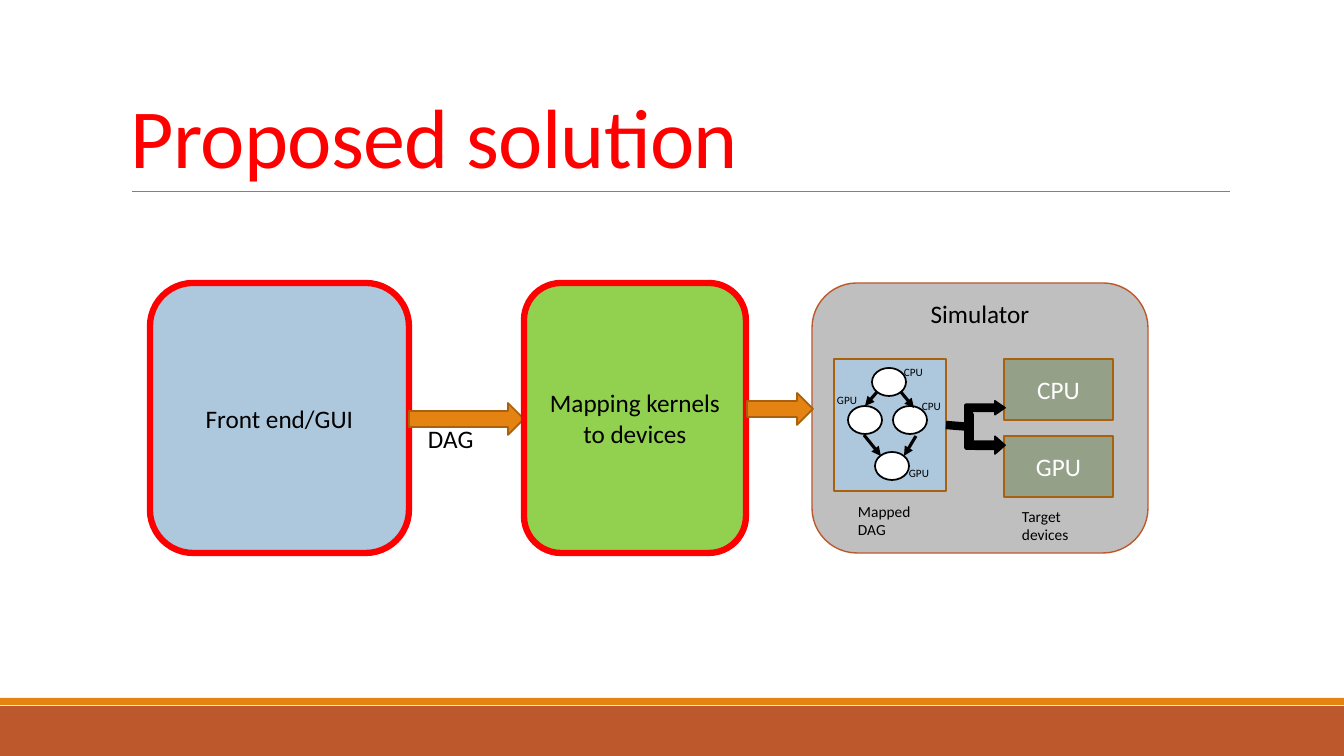
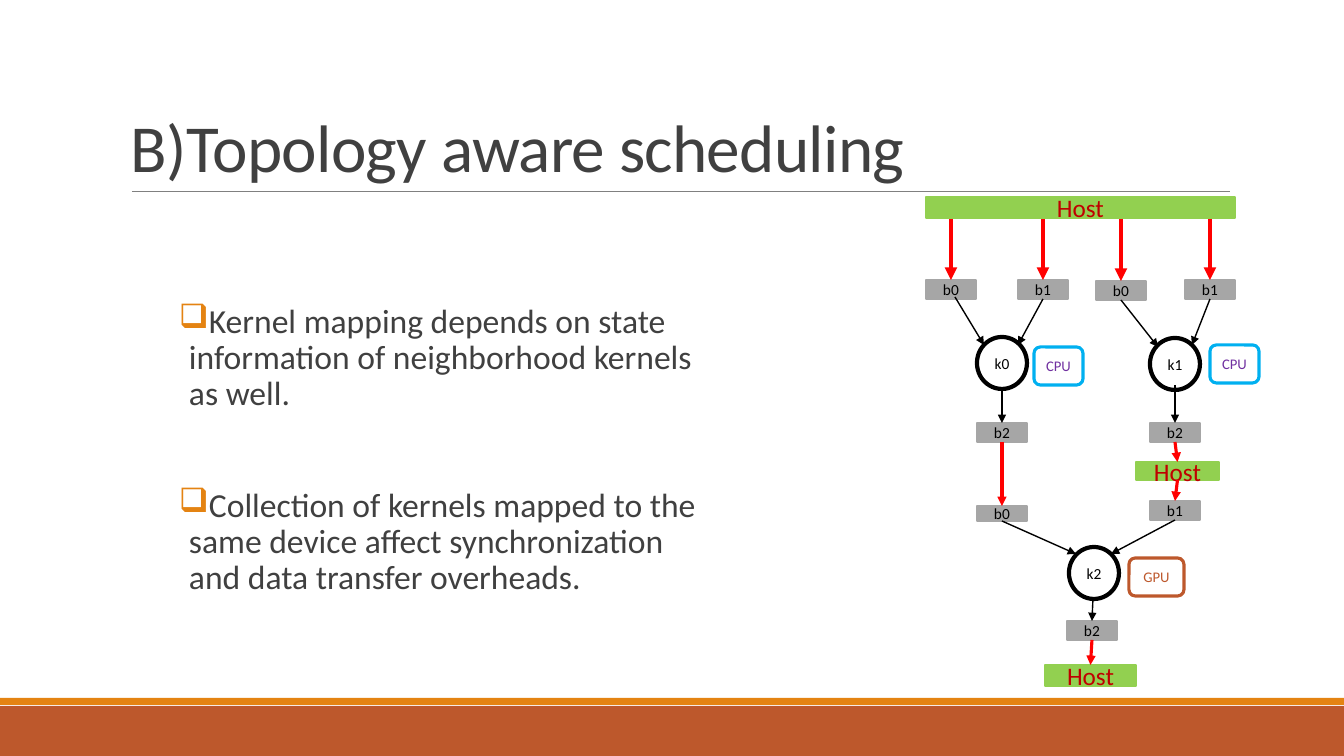
import pptx
import pptx.dml.color
import pptx.enum.shapes
import pptx.enum.text
import pptx.oxml.ns
import pptx.util
from lxml import etree

WIDTH, HEIGHT = 1344, 756
SCALE = 12192000 / WIDTH
FONT = "Calibri"
COLORS = {
    "rust": "BD582C", "orange": "E48312", "brown": "A9610D",
    "red": "FF0000", "crimson": "C00000", "ink": "404040",
    "black": "000000", "white": "FFFFFF", "rule": "808080",
    "silver": "BFBFBF", "gray": "A6A6A6", "blue": "ADC8DD",
    "green": "92D050", "sage": "94A088", "cyan": "00B0F0",
    "purple": "7030A0",
}
KIND = pptx.enum.shapes.MSO_SHAPE
ALIGN = pptx.enum.text.PP_ALIGN
ANCHOR = pptx.enum.text.MSO_ANCHOR
TOP, LEFT, BOTTOM, RIGHT = range(4)


def px(length):
    return pptx.util.Emu(round(length * SCALE))


def rgb(name):
    return pptx.dml.color.RGBColor.from_string(COLORS[name])


def child(parent, tag, **attributes):
    return etree.SubElement(parent, pptx.oxml.ns.qn(tag), attributes)


def write(para, text, size=18, color="black", align=ALIGN.LEFT,
          leading=None, before=0, after=0, tracking=None):
    para.alignment = align
    para.space_before = pptx.util.Pt(before)
    para.space_after = pptx.util.Pt(after)
    if leading:
        para.line_spacing = leading
    span = para.add_run()
    span.text = text
    span.font.name = FONT
    span.font.size = pptx.util.Pt(size)
    span.font.color.rgb = rgb(color)
    if tracking:
        span.font._element.set("spc", str(tracking))


class Deck:
    def __init__(self):
        self.deck = pptx.Presentation()
        self.deck.slide_width = px(WIDTH)
        self.deck.slide_height = px(HEIGHT)
        self.page = None

    def start(self, title, size, color):
        self.page = self.deck.slides.add_slide(self.deck.slide_layouts[5])
        self.shape(KIND.RECTANGLE, (0, 706, WIDTH, 50), "rust")
        self.shape(KIND.RECTANGLE, (0, 698, WIDTH, 7), "orange")
        self.line((132, 191), (1230, 191), "rule", 0.5, arrow=False)
        box = self.page.shapes.title
        self.place(box, (121, 31, 1109, 160))
        frame = self.frame(box, ANCHOR.BOTTOM)
        write(frame.paragraphs[0], title, size=size, color=color,
              leading=0.85, tracking=-50)

    def place(self, box, area):
        box.left, box.top, box.width, box.height = map(px, area)

    def frame(self, box, anchor, margins=(10, 5, 10, 5)):
        frame = box.text_frame
        frame.word_wrap = True
        frame.auto_size = pptx.enum.text.MSO_AUTO_SIZE.NONE
        frame.vertical_anchor = anchor
        (frame.margin_left, frame.margin_top,
         frame.margin_right, frame.margin_bottom) = map(px, margins)
        return frame

    def shape(self, kind, area, fill, line=None, weight=1.25, text=None,
              anchor=ANCHOR.MIDDLE, margins=(10, 5, 10, 5), **style):
        box = self.page.shapes.add_shape(kind, *map(px, area))
        box.shadow.inherit = False
        box.fill.solid()
        box.fill.fore_color.rgb = rgb(fill)
        if line:
            box.line.color.rgb = rgb(line)
            box.line.width = pptx.util.Pt(weight)
        else:
            box.line.fill.background()
        if text:
            frame = self.frame(box, anchor, margins)
            write(frame.paragraphs[0], text, align=ALIGN.CENTER, **style)
        return box

    def bent_arrow(self, area, adjustments, flipped=False):
        arrow = self.shape(KIND.BENT_ARROW, area, "black", "black")
        for index, value in enumerate(adjustments):
            arrow.adjustments[index] = value
        if flipped:
            arrow.element.spPr.xfrm.set("flipV", "1")

    def label(self, text, area, **style):
        box = self.page.shapes.add_textbox(*map(px, area))
        write(self.frame(box, ANCHOR.TOP).paragraphs[0], text, **style)

    def bullets(self, items, area, gap):
        box = self.page.shapes.add_textbox(*map(px, area))
        frame = self.frame(box, ANCHOR.TOP, (0, 5, 0, 5))
        for index, item in enumerate(items):
            para = frame.add_paragraph() if index else frame.paragraphs[0]
            write(para, item, size=24, color="ink", leading=0.9,
                  before=gap if index else 0, after=2)
            properties = para._p.get_or_add_pPr()
            properties.set("marL", str(px(10)))
            properties.set("indent", str(px(-10)))
            color = child(properties, "a:buClr")
            child(color, "a:srgbClr", val=COLORS["orange"])
            child(properties, "a:buChar", char="❑")

    def line(self, start, end, color="black", weight=1, arrow=True):
        joined = [not isinstance(spot[0], int) for spot in (start, end)]
        first = (0, 0) if joined[0] else start
        last = (0, 0) if joined[1] else end
        connector = self.page.shapes.add_connector(
            pptx.enum.shapes.MSO_CONNECTOR.STRAIGHT, *map(px, first + last))
        if joined[0]:
            connector.begin_connect(*start)
        if joined[1]:
            connector.end_connect(*end)
        connector.line.color.rgb = rgb(color)
        connector.line.width = pptx.util.Pt(weight)
        if arrow:
            child(connector.line._get_or_add_ln(), "a:tailEnd",
                  type="triangle")
        child(connector.element.spPr, "a:effectLst")

    def host(self, area):
        return self.shape(KIND.RECTANGLE, area, "green", "green",
                          text="Host", color="crimson")

    def buffer(self, text, left, top, height=19):
        return self.shape(KIND.RECTANGLE, (left, top, 50, height), "gray",
                          "gray", text=text, size=11)

    def kernel(self, text, left, top):
        return self.shape(KIND.OVAL, (left, top, 50, 52), "white", "black", 3,
                          text=text, size=11, margins=(0, 0, 0, 0))

    def tag(self, text, area, line, color):
        self.shape(KIND.ROUNDED_RECTANGLE, area, "white", line, 2.25,
                   text=text, size=10.5, color=color)


def build_solution(deck):
    deck.start("Proposed solution", 60, "red")
    stage = KIND.FLOWCHART_ALTERNATE_PROCESS
    top, height = 283, 270
    deck.shape(stage, (150, top, 259, height), "blue", "red", 4.5,
               text="Front end/GUI")
    deck.shape(KIND.RIGHT_ARROW, (409, 403, 115, 32), "orange", "brown")
    deck.shape(stage, (524, top, 222, height), "green", "red", 4.5,
               text="Mapping kernels to devices")
    deck.shape(stage, (812, top, 336, height), "silver", "rust", 1,
               text="Simulator", anchor=ANCHOR.TOP, margins=(10, 2, 10, 5))
    deck.shape(KIND.RIGHT_ARROW, (747, 393, 66, 32), "orange", "brown")
    deck.label("DAG", (418, 418, 73, 40))

    graph = deck.shape(KIND.RECTANGLE, (834, 359, 112, 132), "blue", "brown")
    for left, top in ((872, 368), (848, 406), (893, 406), (875, 452)):
        deck.shape(KIND.OVAL, (left, top, 34, 28), "white", "black")
    for start, end in (((877, 392), (865, 406)), ((864, 435), (881, 456)),
                       ((901, 392), (914, 408)), ((916, 436), (904, 456))):
        deck.line(start, end, weight=2.25)
    for text, left, top in (("CPU", 894, 360), ("CPU", 912, 394),
                            ("GPU", 827, 388), ("GPU", 899, 461)):
        deck.label(text, (left, top, 43, 24), size=8)

    for text, top in (("CPU", 359), ("GPU", 436)):
        deck.shape(KIND.RECTANGLE, (1004, top, 109, 61), "sage", "brown",
                   text=text, color="white")
    deck.bent_arrow((965, 414, 40, 40), (0.2, 0.22, 0.25, 0.05), True)
    deck.bent_arrow((965, 401, 40, 40), (0.18, 0.17, 0.25, 0.04))
    deck.line((graph, RIGHT), (971, 427), weight=6, arrow=False)
    deck.label("Mapped DAG", (848, 497, 98, 47), size=11)
    deck.label("Target devices", (1012, 502, 98, 47), size=11)


def build_scheduling(deck):
    deck.start("B)Topology aware scheduling", 48, "ink")
    deck.bullets((
        "Kernel mapping depends on state information of neighborhood "
        "kernels as well.",
        "Collection of kernels mapped to the same device affect "
        "synchronization and data transfer overheads.",
    ), (179, 299, 537, 388), 52)

    deck.host((926, 197, 309, 21))
    middle_host = deck.host((1136, 462, 83, 18))
    last_host = deck.host((1045, 665, 91, 21))
    for text, left, top in (("k0", 977, 337), ("k1", 1150, 338),
                            ("k2", 1069, 547)):
        deck.kernel(text, left, top)

    inputs = []
    for text, left, top in (("b0", 926, 280), ("b1", 1018, 280),
                            ("b0", 1096, 281), ("b1", 1185, 280)):
        box = deck.buffer(text, left, top)
        deck.line((left + 25, 219), (box, TOP), "red", 3)
        inputs.append(box)
    k0_output = deck.buffer("b2", 977, 423)
    k1_output = deck.buffer("b2", 1150, 423)
    k2_left = deck.buffer("b0", 977, 506, 15)
    k2_right = deck.buffer("b1", 1150, 501)
    k2_output = deck.buffer("b2", 1067, 621)

    for start, end in (
        ((955, 297), (984, 345)),
        ((inputs[1], BOTTOM), (1018, 345)),
        ((inputs[2], BOTTOM), (1158, 347)),
        ((inputs[3], BOTTOM), (1192, 345)),
        ((1002, 389), (k0_output, TOP)),
        ((1175, 385), (k1_output, TOP)),
        ((k2_left, BOTTOM), (1076, 554)),
        ((k2_right, BOTTOM), (1111, 554)),
        ((1093, 599), (k2_output, TOP)),
    ):
        deck.line(start, end)
    for source, target in ((k0_output, k2_left), (k1_output, middle_host),
                           (middle_host, k2_right), (k2_output, last_host)):
        deck.line((source, BOTTOM), (target, TOP), "red", 2.25)

    deck.tag("CPU", (1034, 347, 49, 38), "cyan", "purple")
    deck.tag("CPU", (1210, 345, 49, 38), "cyan", "purple")
    deck.tag("GPU", (1129, 558, 55, 38), "rust", "rust")


def main():
    deck = Deck()
    build_solution(deck)
    build_scheduling(deck)
    deck.deck.save("out.pptx")


if __name__ == "__main__":
    main()
